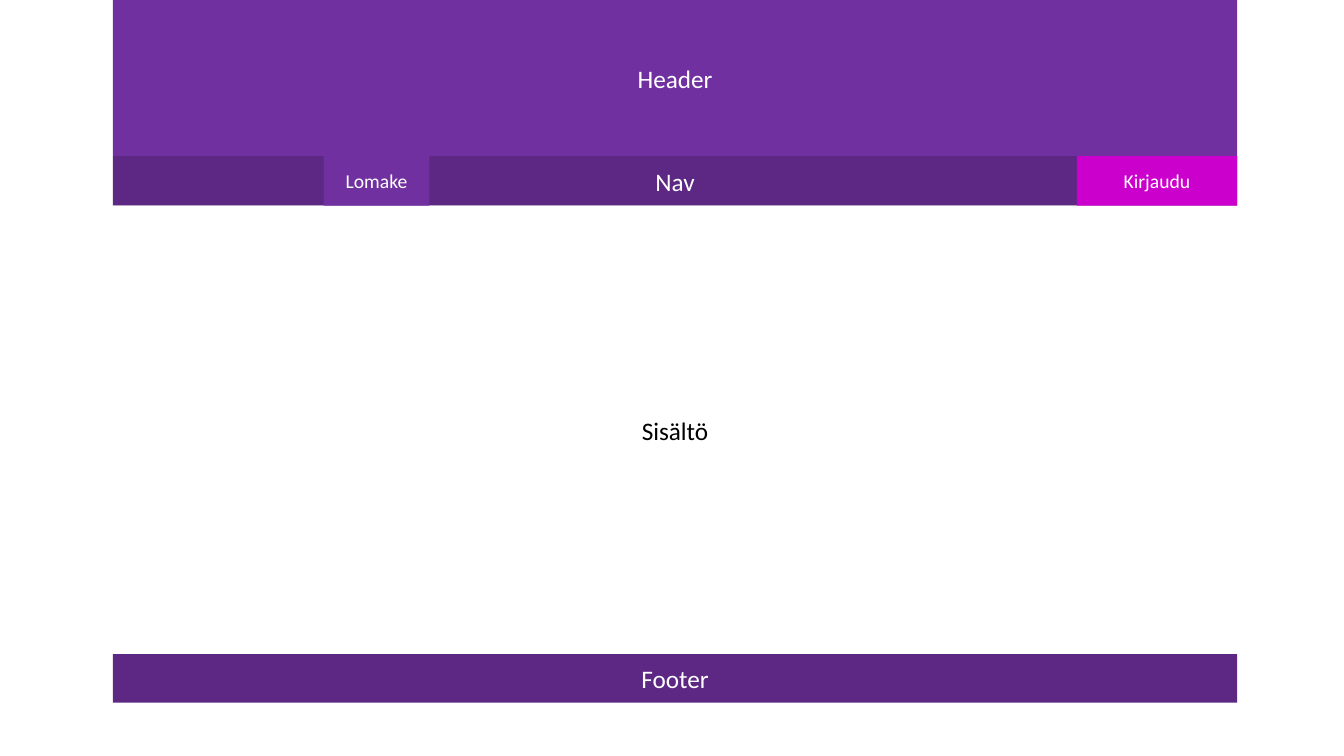
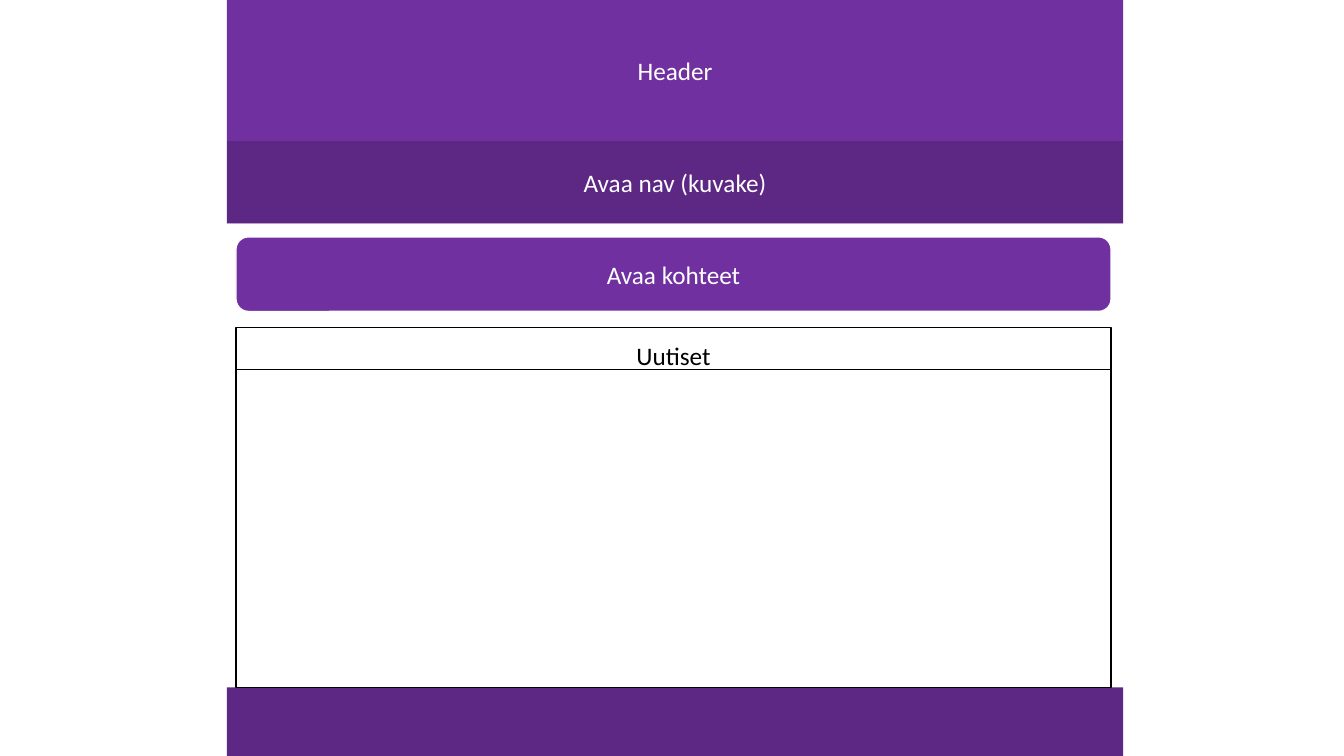
from dataclasses import dataclass

from lxml.etree import SubElement
from pptx import Presentation
from pptx.dml.color import RGBColor
from pptx.enum.shapes import MSO_CONNECTOR, MSO_SHAPE
from pptx.enum.text import MSO_ANCHOR, PP_ALIGN
from pptx.oxml.ns import qn
from pptx.util import Pt


@dataclass(frozen=True)
class Theme:
    font: str = "Calibri"
    main: str = "7030A0"
    dark: str = "5D2884"
    login: str = "CC00CC"
    white: str = "FFFFFF"
    black: str = "000000"
    large: int = 18
    small: int = 14


THEME = Theme()
BLANK = 6


def px(count):
    return count * 9144


def tint(code):
    return RGBColor.from_string(code)


def label(shape, text, size, top):
    frame = shape.text_frame
    frame.text = text
    frame.word_wrap = True
    frame.vertical_anchor = MSO_ANCHOR.MIDDLE
    if top is not None:
        frame.vertical_anchor = MSO_ANCHOR.TOP
        frame.margin_top = px(top)
    line = frame.paragraphs[0]
    line.alignment = PP_ALIGN.CENTER
    font = line.runs[0].font
    font.name = THEME.font
    font.size = Pt(size)
    fill = shape.fill.fore_color.rgb
    ink = THEME.black if fill == tint(THEME.white) else THEME.white
    font.color.rgb = tint(ink)


def box(shapes, area, fill, text="", size=THEME.large,
        kind=MSO_SHAPE.RECTANGLE, edge=None, top=None):
    shape = shapes.add_shape(kind, *map(px, area))
    shape.shadow.inherit = False
    shape.fill.solid()
    shape.fill.fore_color.rgb = tint(fill)
    if edge:
        shape.line.color.rgb = tint(edge)
        shape.line.width = Pt(1)
    else:
        shape.line.fill.background()
    if text:
        label(shape, text, size, top)


def rule(shapes, left, top, width):
    line = shapes.add_connector(
        MSO_CONNECTOR.STRAIGHT, px(left), px(top), px(left + width), px(top))
    line.line.color.rgb = tint(THEME.black)
    line.line.width = Pt(0.5)
    SubElement(line._element.spPr, qn("a:effectLst"))


def stack(shapes, left, width, bands):
    top = 0
    for height, fill, text in bands:
        box(shapes, (left, top, width, height), fill, text)
        top += height


def desktop(deck):
    shapes = deck.slides.add_slide(deck.slide_layouts[BLANK]).shapes
    left, width, head, nav = 112, 1115, 155, 49
    stack(shapes, left, width, [
        (head, THEME.main, "Header"),
        (nav, THEME.dark, "Nav"),
        (445, THEME.white, "Sisältö"),
        (48, THEME.dark, "Footer"),
    ])
    login = 159
    for start, span, fill, text in [
        (321, 105, THEME.main, "Lomake"),
        (left + width - login, login, THEME.login, "Kirjaudu"),
    ]:
        box(shapes, (start, head, span, nav), fill, text, THEME.small)


def mobile(deck):
    shapes = deck.slides.add_slide(deck.slide_layouts[BLANK]).shapes
    stack(shapes, 225, 889, [
        (140, THEME.main, "Header"),
        (82, THEME.dark, "Avaa nav (kuvake)"),
        (460, THEME.white, ""),
        (68, THEME.dark, ""),
    ])
    left, width = 234, 868
    group = shapes.add_group_shape().shapes
    box(group, (left, 235, width, 74), THEME.main, "Avaa kohteet",
        kind=MSO_SHAPE.ROUNDED_RECTANGLE, edge=THEME.white)
    box(group, (left, 325, width, 357), THEME.white, "Uutiset",
        edge=THEME.black, top=13)
    rule(group, left, 366, width)


def main():
    deck = Presentation()
    deck.slide_width = px(1333)
    deck.slide_height = px(750)
    desktop(deck)
    mobile(deck)
    deck.save("out.pptx")


if __name__ == "__main__":
    main()
